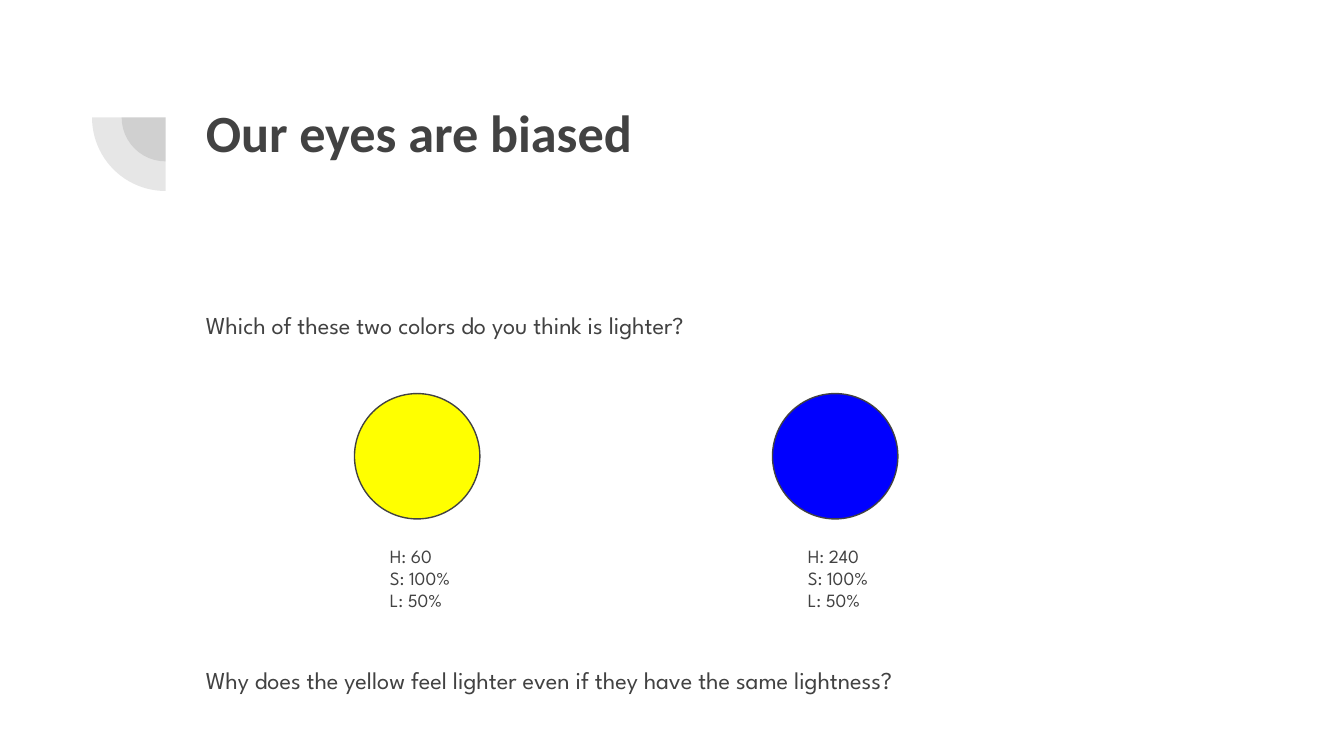
"""Build a slide on how the eye judges the lightness of two colours."""
from lxml import etree
from pptx import Presentation
from pptx.dml.color import RGBColor
from pptx.enum.shapes import MSO_SHAPE
from pptx.enum.text import MSO_ANCHOR
from pptx.oxml.ns import qn
from pptx.util import Cm, Pt

PIE = MSO_SHAPE.PIE
CIRCLE = MSO_SHAPE.FLOWCHART_CONNECTOR
TOP = MSO_ANCHOR.TOP
COLORS = {"ink": "424242", "yellow": "FFFF00", "blue": "0000FF"}
HEADING_FONT = "Calibri"
BODY_FONT = "League Spartan"
INSET = Cm(0.25)


def rgb(name):
    """Return the named colour."""
    return RGBColor.from_string(COLORS[name])


def add_text(slide, box, lines, size, font=BODY_FONT, bold=False, spacing=None):
    """Write lines of text into the box."""
    frame = slide.shapes.add_textbox(*box).text_frame
    frame.word_wrap = True
    frame.vertical_anchor = TOP
    frame.margin_left = frame.margin_right = INSET
    frame.margin_top = frame.margin_bottom = INSET
    frame.text = "\n".join(lines)
    for paragraph in frame.paragraphs:
        if spacing:
            paragraph.line_spacing = spacing
            paragraph.space_after = Pt(12)
        for run in paragraph.runs:
            run.font.name = font
            run.font.size = Pt(size)
            run.font.bold = bold
            run.font.color.rgb = rgb("ink")


def add_shape(slide, kind, box, color):
    """Add a plain filled shape."""
    shape = slide.shapes.add_shape(kind, *box)
    shape.shadow.inherit = False
    shape.fill.solid()
    shape.fill.fore_color.rgb = rgb(color)
    return shape


def add_quarter_rings(slide, center_x, center_y, radii):
    """Stack translucent quarter discs around one centre."""
    for radius in radii:
        box = center_x - radius, center_y - radius, 2 * radius, 2 * radius
        quarter = add_shape(slide, PIE, box, "ink")
        quarter.adjustments[0] = 108
        quarter.adjustments[1] = 162
        quarter.rotation = 270
        quarter.line.fill.background()
        for color in quarter.fill._xPr.iter(qn("a:srgbClr")):
            etree.SubElement(color, qn("a:alpha"), val="13000")


def add_swatch(slide, left, top, color, hue):
    """Draw a colour disc with its HSL values below."""
    diameter = Cm(2.37)
    disc = add_shape(slide, CIRCLE, (left, top, diameter, diameter), color)
    disc.line.color.rgb = rgb("ink")
    disc.line.width = Pt(0.75)
    values = left + Cm(0.42), top + Cm(2.6), Cm(2.64), Cm(1.83)
    add_text(slide, values, [f"H: {hue}", "S: 100%", "L: 50%"], 10)


def add_content(slide, left, top, width):
    """Place the title, both questions and the swatches."""
    add_text(slide, (left, top, width, Cm(2.77)), ["Our eyes are biased"], 28,
             font=HEADING_FONT, bold=True)
    questions = [
        (3.89, "Which of these two colors do you think is lighter?"),
        (10.6, "Why does the yellow feel lighter even if they have the same lightness?"),
    ]
    for offset, question in questions:
        box = left, top + Cm(offset), width, Cm(1.47)
        add_text(slide, box, [question], 13, spacing=1.15)
    for column, (color, hue) in enumerate([("yellow", 60), ("blue", 240)]):
        add_swatch(slide, left + Cm(3.06 + 7.9 * column), top + Cm(5.79), color, hue)


def main():
    """Create the slide and save it."""
    deck = Presentation()
    deck.slide_width, deck.slide_height = Cm(25.4), Cm(14.29)
    slide = deck.slides.add_slide(deck.slide_layouts[6])
    add_quarter_rings(slide, Cm(3.13), Cm(2.22), [Cm(0.83), Cm(1.39)])
    add_content(slide, Cm(3.64), Cm(1.65), Cm(19.53))
    deck.save("out.pptx")


if __name__ == "__main__":
    main()
